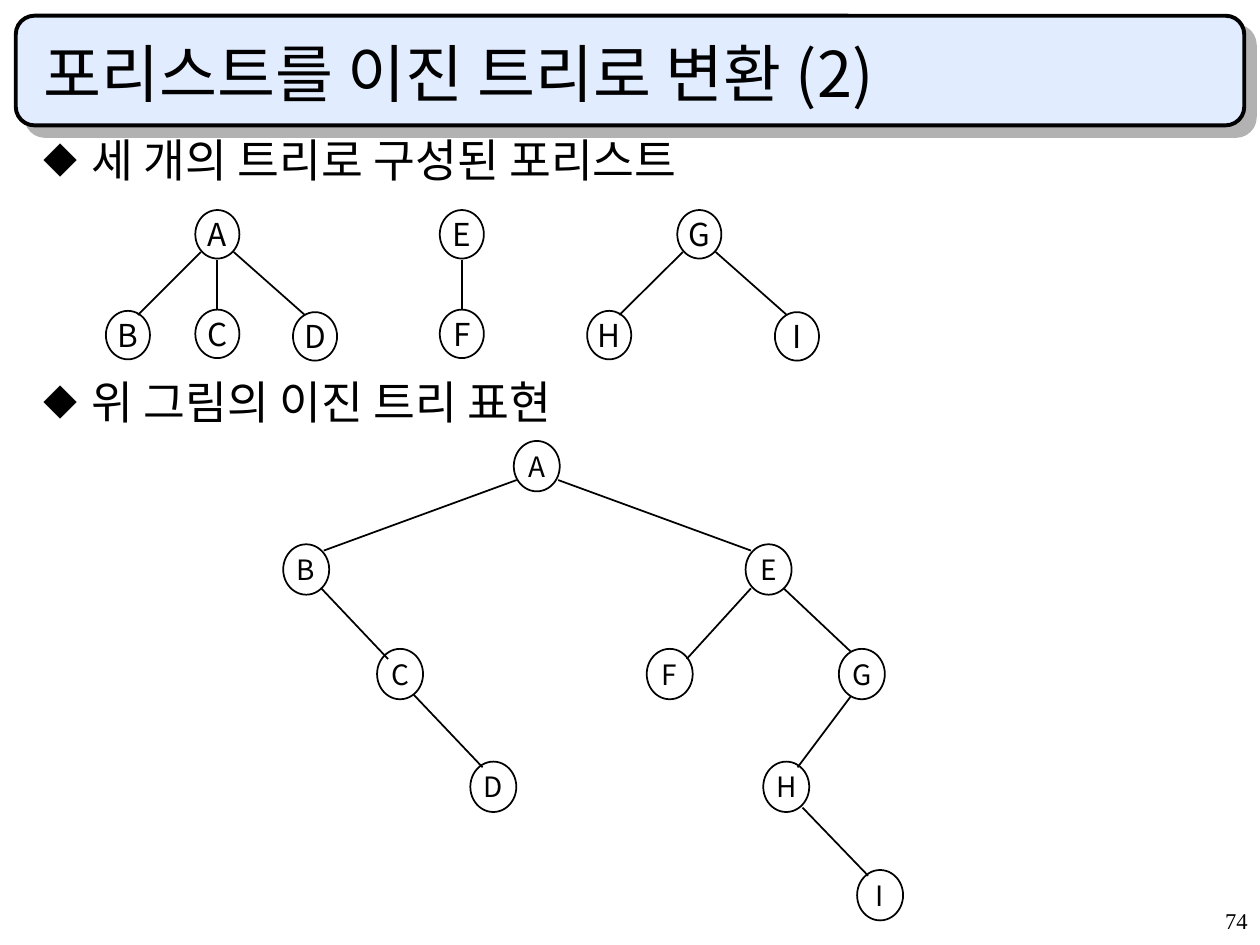
import pptx
import pptx.util
import pptx.dml.color
import pptx.enum.shapes
import pptx.enum.text
import pptx.oxml
import pptx.oxml.ns
from lxml import etree

COLS, ROWS = 100, 75
CELL = pptx.util.Inches(10) // COLS
SANS, SERIF = "Noto Sans CJK KR", "Times New Roman"
COLOR = {"ink": "000000", "band": "E1ECFF", "shade": "B2B2B2"}
KIND = pptx.enum.shapes.MSO_SHAPE
ALIGN = pptx.enum.text.PP_ALIGN
ANCHOR = pptx.enum.text.MSO_ANCHOR

WOODS = {
    "A": (17.25, 18.6), "B": (10.15, 26.6), "C": (17.25, 26.5), "D": (25, 26.7),
    "E": (36.65, 18.6), "F": (36.65, 26.5),
    "G": (55.5, 18.6), "H": (48.35, 26.6), "I": (63.25, 26.7),
}
LEFT, DOWN, RIGHT = (-1.3, 1.4, 0.8, -1.6), (0, 2, 0, -2), (1.3, 1.4, -0.8, -1.7)
WOODLINKS = {"AB": LEFT, "AC": DOWN, "AD": RIGHT, "EF": DOWN, "GH": LEFT, "GI": RIGHT}

TREE = {
    "A": (42.6, 37), "B": (24.3, 45.2), "C": (31.75, 53.5), "D": (39.15, 62.45),
    "E": (61, 45.2), "F": (53.15, 53.5), "G": (68.4, 53.5),
    "H": (62.4, 62.45), "I": (69.85, 71.05),
}
TREELINKS = {
    "AB": (-1.6, 1.1, 1.4, -1.5), "AE": (1.7, 1.1, -1.4, -1.5),
    "BC": (1.2, 1.5, -0.95, -1.2), "CD": (1.05, 1.6, -0.85, -1.55),
    "EF": (-1.4, 1.5, 1.35, -1.2), "EG": (1.2, 1.5, -0.9, -1.8),
    "GH": (-0.9, 1.8, 0.9, -1.55), "HI": (1.3, 1.65, -0.95, -1.55),
}


def grid(*spans):
    return [round(span * CELL) for span in spans]


def shade(name):
    return pptx.dml.color.RGBColor.from_string(COLOR[name])


def add(parent, tag, **attrs):
    return etree.SubElement(parent, pptx.oxml.ns.qn(tag), attrs)


def write(shape, text, size, font=SANS, align=ALIGN.LEFT, anchor=ANCHOR.TOP,
          wrap=True, lines=None, bullet=False):
    frame = shape.text_frame
    frame.word_wrap = wrap
    frame.vertical_anchor = anchor
    para = frame.paragraphs[0]
    para.alignment = align
    if lines:
        para.line_spacing = lines
    if bullet:
        props = para._p.get_or_add_pPr()
        indent = pptx.util.Inches(0.38)
        props.set("marL", str(indent))
        props.set("indent", str(-indent))
        add(add(props, "a:buClr"), "a:srgbClr", val=COLOR["ink"])
        add(props, "a:buSzPct", val="75000")
        add(props, "a:buFont", typeface=SANS)
        add(props, "a:buChar", char="◆")
    run = para.add_run()
    run.text = text
    run.font.size = pptx.util.Pt(size)
    run.font.color.rgb = shade("ink")
    run.font.name = font
    add(run._r.get_or_add_rPr(), "a:ea", typeface=SANS)


def label(shapes, place, text, size, **style):
    write(shapes.add_textbox(*grid(*place)), text, size, **style)


def banner(shapes):
    band = shapes.add_shape(KIND.ROUNDED_RECTANGLE, *grid(1.25, 1.25, 97.5, 8.7))
    band.adjustments[0] = 0.17
    band.fill.solid()
    band.fill.fore_color.rgb = shade("band")
    band.line.color.rgb = shade("ink")
    band.line.width = pptx.util.Pt(2.25)
    cast = add(add(band._element.spPr, "a:effectLst"), "a:outerShdw", blurRad="0",
               dist=str(pptx.util.Pt(8.5)), dir="2700000", algn="ctr", rotWithShape="0")
    add(cast, "a:srgbClr", val=COLOR["shade"])


def node(shapes, text, spot, wide, high, size):
    col, row = spot
    ring = shapes.add_shape(KIND.OVAL, *grid(col - wide / 2, row - high / 2, wide, high))
    ring.shadow.inherit = False
    ring.fill.background()
    ring.line.color.rgb = shade("ink")
    ring.line.width = pptx.util.Pt(1)
    write(ring, text, size, align=ALIGN.CENTER, anchor=ANCHOR.MIDDLE, wrap=False)


def link(shapes, start, end, trim):
    ends = [spot + cut for spot, cut in zip(start + end, trim)]
    edge = shapes.add_connector(pptx.enum.shapes.MSO_CONNECTOR.STRAIGHT, *grid(*ends))
    edge.line.color.rgb = shade("ink")
    edge.line.width = pptx.util.Pt(1)
    add(edge._element.spPr, "a:effectLst")


def graph(shapes, spots, links, wide, high, size):
    group = shapes.add_group_shape().shapes
    for text, spot in spots.items():
        node(group, text, spot, wide, high, size)
    for (top, low), trim in links.items():
        link(group, spots[top], spots[low], trim)


def main():
    deck = pptx.Presentation()
    deck.slide_width, deck.slide_height = grid(COLS, ROWS)
    shapes = deck.slides.add_slide(deck.slide_layouts[6]).shapes
    banner(shapes)
    label(shapes, (79.2, 71.7, 20.8, 3.3), "74", 12.9, font=SERIF,
          align=ALIGN.RIGHT, lines=0.9)
    graph(shapes, WOODS, WOODLINKS, 3.5, 3.85, 18)
    label(shapes, (2.5, 30, 55.4, 5), "위 그림의 이진 트리 표현", 26, lines=0.8, bullet=True)
    graph(shapes, TREE, TREELINKS, 3.65, 4, 16)
    label(shapes, (2.5, 2.5, 94.2, 6.7), "포리스트를 이진 트리로 변환 (2)", 36,
          anchor=ANCHOR.BOTTOM)
    label(shapes, (2.5, 10.8, 58.5, 4.6), "세 개의 트리로 구성된 포리스트", 26, font=SERIF,
          lines=0.8, bullet=True)
    deck.save("out.pptx")


if __name__ == "__main__":
    main()
